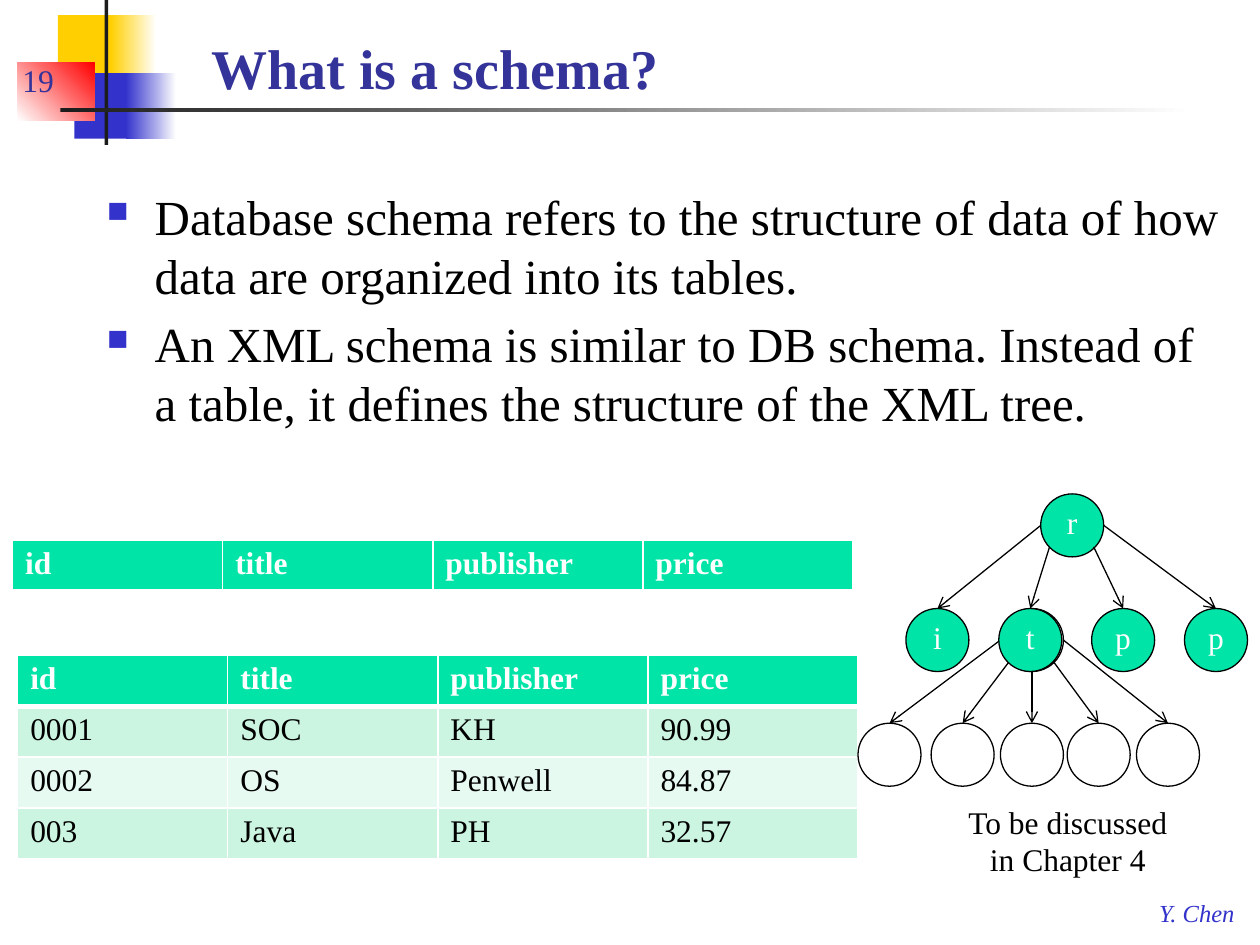
from lxml.etree import SubElement
from pptx import Presentation
from pptx.dml.color import RGBColor
from pptx.enum.shapes import MSO_CONNECTOR, MSO_SHAPE
from pptx.enum.text import MSO_ANCHOR, MSO_AUTO_SIZE, PP_ALIGN
from pptx.oxml.ns import qn
from pptx.util import Inches, Pt

FONT = "Times New Roman"
WHITE, BLACK, BLUE, NAVY, GREEN = "FFFFFF", "000000", "3333CC", "333399", "00E4A8"
YELLOW, RED, CHARCOAL = "FFCF01", "FF0000", "1C1C1C"
BANDS = ["CCF5E1", "E7FAF1"]
HEADINGS = ["id", "title", "publisher", "price"]
BOOKS = [
    ["0001", "SOC", "KH", "90.99"],
    ["0002", "OS", "Penwell", "84.87"],
    ["003", "Java", "PH", "32.57"],
]
NODE = 0.5


def color(value):
    return RGBColor.from_string(value)


def inches(*values):
    return [Inches(value) for value in values]


def add_span(para, text, size, ink, bold=False, italic=False):
    span = para.add_run()
    span.text = text
    font = span.font
    font.name, font.size, font.bold, font.italic = FONT, Pt(size), bold, italic
    font.color.rgb = color(ink)


def add_text(page, box, text, size, ink, align=PP_ALIGN.LEFT,
             anchor=MSO_ANCHOR.TOP, wrap=True, italic=False):
    frame = page.shapes.add_textbox(*inches(*box)).text_frame
    frame.word_wrap = wrap
    frame.vertical_anchor = anchor
    para = frame.paragraphs[0]
    para.alignment = align
    add_span(para, text, size, ink, italic=italic)


def add_block(page, box, start, end=None, angle=0):
    block = page.shapes.add_shape(MSO_SHAPE.RECTANGLE, *inches(*box))
    block.shadow.inherit = False
    block.line.fill.background()
    if end is None:
        block.fill.solid()
        block.fill.fore_color.rgb = color(start)
        return
    block.fill.gradient()
    block.fill.gradient_angle = angle
    for stop, shade, position in zip(block.fill.gradient_stops, (start, end), (0, 1)):
        stop.color.rgb = color(shade)
        stop.position = position


def add_decoration(page):
    add_block(page, (0.46, 0.12, 0.48, 0.52), YELLOW)
    add_block(page, (0.88, 0.12, 0.36, 0.52), YELLOW, WHITE)
    add_block(page, (0.59, 0.58, 0.46, 0.52), BLUE)
    add_block(page, (1, 0.58, 0.4, 0.52), BLUE, WHITE)
    add_block(page, (0.14, 0.5, 0.61, 0.46), WHITE, RED, angle=45)
    add_block(page, (0.83, 0, 0.03, 1.15), CHARCOAL)
    add_block(page, (0.48, 0.86, 9, 0.03), CHARCOAL, WHITE)


def set_title(page, box, text):
    title = page.shapes.title
    title.left, title.top, title.width, title.height = inches(*box)
    frame = title.text_frame
    frame.auto_size = MSO_AUTO_SIZE.NONE
    frame.vertical_anchor = MSO_ANCHOR.BOTTOM
    para = frame.paragraphs[0]
    para.alignment = PP_ALIGN.LEFT
    add_span(para, text, 32, NAVY, bold=True)


def add_bullets(page, box, items):
    frame = page.shapes.add_textbox(*inches(*box)).text_frame
    frame.word_wrap = True
    for index, item in enumerate(items):
        para = frame.paragraphs[0] if index == 0 else frame.add_paragraph()
        props = para._p.get_or_add_pPr()
        props.set("marL", str(Inches(0.38)))
        props.set("indent", str(-Inches(0.38)))
        bullet_color = SubElement(props, qn("a:buClr"))
        SubElement(bullet_color, qn("a:srgbClr"), val=BLUE)
        SubElement(props, qn("a:buSzPct"), val="60000")
        SubElement(props, qn("a:buChar"), char="■")
        if index:
            para.space_before = Pt(5.6)
        add_span(para, item, 28, BLACK)


def set_borders(cell, bottom):
    props = cell._tc.get_or_add_tcPr()
    for index, (side, width) in enumerate(
            [("lnL", 1), ("lnR", 1), ("lnT", 1), ("lnB", bottom)]):
        edge = SubElement(props, qn("a:" + side), w=str(Pt(width)))
        SubElement(SubElement(edge, qn("a:solidFill")), qn("a:srgbClr"), val=WHITE)
        props.insert(index, edge)  # borders come before the fill


def add_book_table(page, box, rows):
    table = page.shapes.add_table(len(rows), len(HEADINGS), *inches(*box)).table
    for row_index, row in enumerate(rows):
        header = row_index == 0
        for column_index, text in enumerate(row):
            cell = table.cell(row_index, column_index)
            cell.fill.solid()
            shade = GREEN if header else BANDS[(row_index - 1) % 2]
            cell.fill.fore_color.rgb = color(shade)
            set_borders(cell, 3 if header else 1)
            add_span(cell.text_frame.paragraphs[0], text, 18,
                     WHITE if header else BLACK, bold=header)


def add_node(page, left, top, label, fill):
    node = page.shapes.add_shape(MSO_SHAPE.OVAL, *inches(left, top, NODE, NODE))
    node.shadow.inherit = False
    node.fill.solid()
    node.fill.fore_color.rgb = color(fill)
    node.line.color.rgb = color(BLACK)
    node.line.width = Pt(0.75)
    if label:
        frame = node.text_frame
        frame.margin_left = frame.margin_right = 0
        frame.margin_top = frame.margin_bottom = 0
        frame.vertical_anchor = MSO_ANCHOR.MIDDLE
        para = frame.paragraphs[0]
        para.alignment = PP_ALIGN.CENTER
        para.line_spacing = Pt(18)
        add_span(para, label, 18, WHITE)


def add_arrow(page, start, end):
    arrow = page.shapes.add_connector(MSO_CONNECTOR.STRAIGHT, *inches(*start, *end))
    arrow.line.color.rgb = color(BLACK)
    arrow.line.width = Pt(0.75)
    SubElement(arrow.line._get_or_add_ln(), qn("a:tailEnd"), type="arrow")
    SubElement(arrow._element.spPr, qn("a:effectLst"))


def add_branch(page, root, child_top, children, fill, root_label=""):
    """Draw a root, its children as (left, label), and an arrow to each."""
    left, top = root
    exits = [(0, 0.25), (0.07, 0.42), (0.25, 0.5), (0.42, 0.42), (0.5, 0.25)]
    if len(children) == 4:
        del exits[2]
    add_node(page, left, top, root_label, fill)
    for (child_left, label), (across, down) in zip(children, exits):
        add_node(page, child_left, child_top, label, fill)
        add_arrow(page, (left + across, top + down),
                  (child_left + NODE / 2, child_top))


def add_tree(page, left, top):
    leaves = [(left + step, "") for step in (0, 0.58, 1.13, 1.66, 2.21)]
    add_branch(page, (left + 1.13, top + 0.91), top + 1.82, leaves, WHITE)
    fields = [(left + 0.38 + 0.737 * i, label) for i, label in enumerate("itpp")]
    add_branch(page, (left + 1.45, top), top + 0.91, fields, GREEN, "r")


def main():
    deck = Presentation()
    deck.slide_width, deck.slide_height = inches(10, 7.5)
    page = deck.slides.add_slide(deck.slide_layouts[5])

    # Corner blocks, title, page number and author
    add_decoration(page)
    set_title(page, (1.58, 0.17, 8.33, 0.68), "What is a schema?")
    add_text(page, (0.08, 0.33, 0.67, 0.5), "19", 18, NAVY, anchor=MSO_ANCHOR.BOTTOM)
    add_text(page, (9.1, 7.08, 0.82, 0.33), "Y. Chen", 14, BLUE, wrap=False, italic=True)

    # Definition
    add_bullets(page, (0.75, 1.43, 9.04, 1.42), [
        "Database schema refers to the structure of data of how data are "
        "organized into its tables.",
        "An XML schema is similar to DB schema. Instead of a table, it defines "
        "the structure of the XML tree.",
    ])

    # Schema alone, then with data
    add_book_table(page, (0.1, 4.29, 6.67, 0.4), [HEADINGS])
    add_book_table(page, (0.14, 5.2, 6.67, 1.62), [HEADINGS] + BOOKS)

    # XML tree and its caption
    add_tree(page, 6.81, 3.92)
    add_text(page, (7.55, 6.32, 1.85, 0.71), "To be discussed in Chapter 4", 18,
             BLACK, align=PP_ALIGN.CENTER)
    deck.save("out.pptx")


if __name__ == "__main__":
    main()
